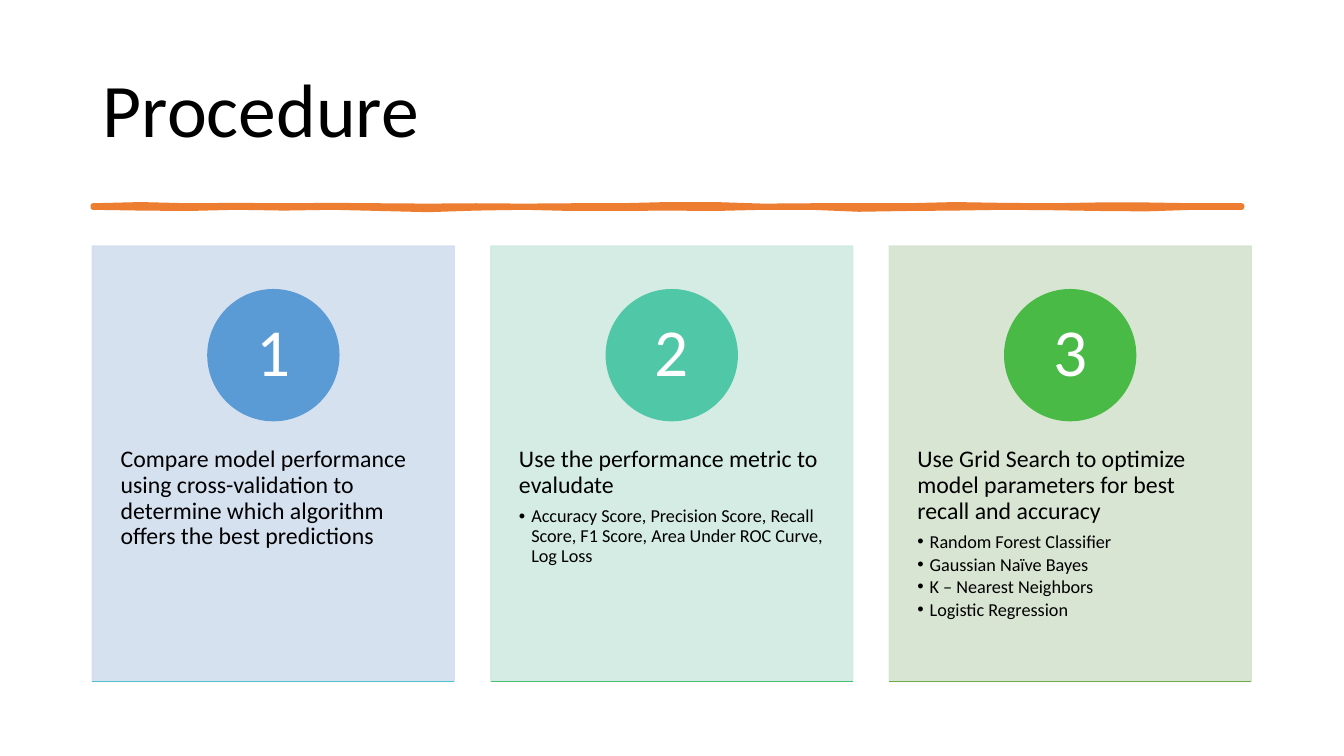
from lxml import etree
from pptx import Presentation
from pptx.dml.color import RGBColor
from pptx.enum.shapes import MSO_CONNECTOR, MSO_SHAPE
from pptx.enum.text import MSO_ANCHOR, MSO_AUTO_SIZE, PP_ALIGN
from pptx.oxml.ns import qn
from pptx.util import Cm, Pt

RECT, OVAL = MSO_SHAPE.RECTANGLE, MSO_SHAPE.OVAL
LINE = MSO_CONNECTOR.STRAIGHT
MIDDLE, FIXED = MSO_ANCHOR.MIDDLE, MSO_AUTO_SIZE.NONE
LEFT, CENTER = PP_ALIGN.LEFT, PP_ALIGN.CENTER

BLACK = RGBColor(0x00, 0x00, 0x00)
WHITE = RGBColor(0xFF, 0xFF, 0xFF)
ORANGE = RGBColor(0xED, 0x7D, 0x31)
PALE_BLUE = RGBColor(0xD2, 0xDE, 0xEF)
PALE_TEAL = RGBColor(0xD0, 0xEA, 0xE1)
PALE_GREEN = RGBColor(0xD5, 0xE3, 0xCF)
BLUE = RGBColor(0x5B, 0x9B, 0xD5)
TEAL = RGBColor(0x50, 0xC8, 0xA7)
GREEN = RGBColor(0x4A, 0xBA, 0x46)
CYAN = RGBColor(0x55, 0xC3, 0xCF)
MINT = RGBColor(0x4B, 0xC1, 0x74)
OLIVE = RGBColor(0x70, 0xAD, 0x47)


def write(para, text, size, color=BLACK, align=LEFT, after=0, bullet=False):
    para.alignment = align
    para.line_spacing = 0.9
    para.space_before = Pt(0)
    para.space_after = Pt(after)
    run = para.add_run()
    run.text = text
    run.font.name = "Calibri"
    run.font.size = Pt(size)
    run.font.color.rgb = color
    if bullet:
        props = para._p.get_or_add_pPr()
        props.set("marL", str(Cm(0.31)))
        props.set("indent", str(-Cm(0.31)))
        etree.SubElement(props, qn("a:buFont")).set("typeface", "Arial")
        etree.SubElement(props, qn("a:buChar")).set("char", "•")


def paint(shape, color, width=1):
    shape.shadow.inherit = False
    shape.fill.solid()
    shape.fill.fore_color.rgb = color
    shape.line.color.rgb = color
    shape.line.width = Pt(width)


deck = Presentation()
deck.slide_width, deck.slide_height = Cm(33.87), Cm(19.05)
slide = deck.slides.add_slide(deck.slide_layouts[5])
shapes = slide.shapes

title = shapes.title
title.left, title.top, title.width, title.height = Cm(2.34), Cm(1.02), Cm(29.21), Cm(3.68)
title.text_frame.auto_size = FIXED
title.text_frame.vertical_anchor = MIDDLE
write(title.text_frame.paragraphs[0], "Procedure", 54)

rise = [0, 3, 0, 1, 0, 1, 0, -1, 0, -1, 0, 0, 3, 3, -1, 0, 0, 0, 3, 1, 0, 2, 2, 0, 0]
drop = [0, 2, 3, 0, 2, 0, 3, 6, 2, 0, 3, 3, 2, 3, 0, 0, 5, 3, 2, 0, 1, 3, 4, 0, 0]
step = 28.96 / (len(rise) - 1)
upper = [(2.34 + i * step, 5.18 - r / 100) for i, r in enumerate(rise)]
lower = [(2.34 + i * step, 5.23 + d / 100) for i, d in enumerate(drop)]
edge = [(Cm(x), Cm(y)) for x, y in upper + lower[::-1]]
pen = shapes.build_freeform(*edge[0])
pen.add_line_segments(edge[1:], close=True)
brush = pen.convert_to_shape()
paint(brush, ORANGE, 3.25)
etree.SubElement(brush._element.spPr.find(qn("a:ln")), qn("a:round"))

cards = [
    (PALE_BLUE, BLUE, CYAN,
     "Compare model performance using cross-validation to determine which algorithm "
     "offers the best predictions", []),
    (PALE_TEAL, TEAL, MINT, "Use the performance metric to evaludate",
     ["Accuracy Score, Precision Score, Recall Score, F1 Score, Area Under ROC Curve, Log Loss"]),
    (PALE_GREEN, GREEN, OLIVE,
     "Use Grid Search to optimize model parameters for best recall and accuracy",
     ["Random Forest Classifier", "Gaussian Naïve Bayes", "K – Nearest Neighbors",
      "Logistic Regression"]),
]

for i, (pale, strong, base, lead, items) in enumerate(cards):
    left = 2.33 + i * 10.04
    card = shapes.add_shape(RECT, Cm(left), Cm(6.2), Cm(9.12), Cm(10.97))
    paint(card, pale)
    for tint in card._element.spPr.iter(qn("a:srgbClr")):
        etree.SubElement(tint, qn("a:alpha")).set("val", "90000")

    body = shapes.add_textbox(Cm(left), Cm(10.36), Cm(9.12), Cm(6.58)).text_frame
    body.word_wrap = True
    body.margin_left = body.margin_right = Cm(0.71)
    body.margin_top = body.margin_bottom = Cm(0.91)
    write(body.paragraphs[0], lead, 17, after=6)
    for item in items:
        write(body.add_paragraph(), item, 13, after=2, bullet=True)

    disc = shapes.add_shape(OVAL, Cm(left + 2.91), Cm(7.3), Cm(3.3), Cm(3.3))
    paint(disc, strong)
    disc.text_frame.vertical_anchor = MIDDLE
    disc.text_frame.margin_top = disc.text_frame.margin_bottom = Cm(0.03)
    write(disc.text_frame.paragraphs[0], str(i + 1), 48, color=WHITE, align=CENTER)

    rule = shapes.add_connector(LINE, Cm(left), Cm(17.17), Cm(left + 9.12), Cm(17.17))
    rule.line.color.rgb = base
    rule.line.width = Pt(1)
    etree.SubElement(rule._element.spPr, qn("a:effectLst"))

deck.save("out.pptx")
